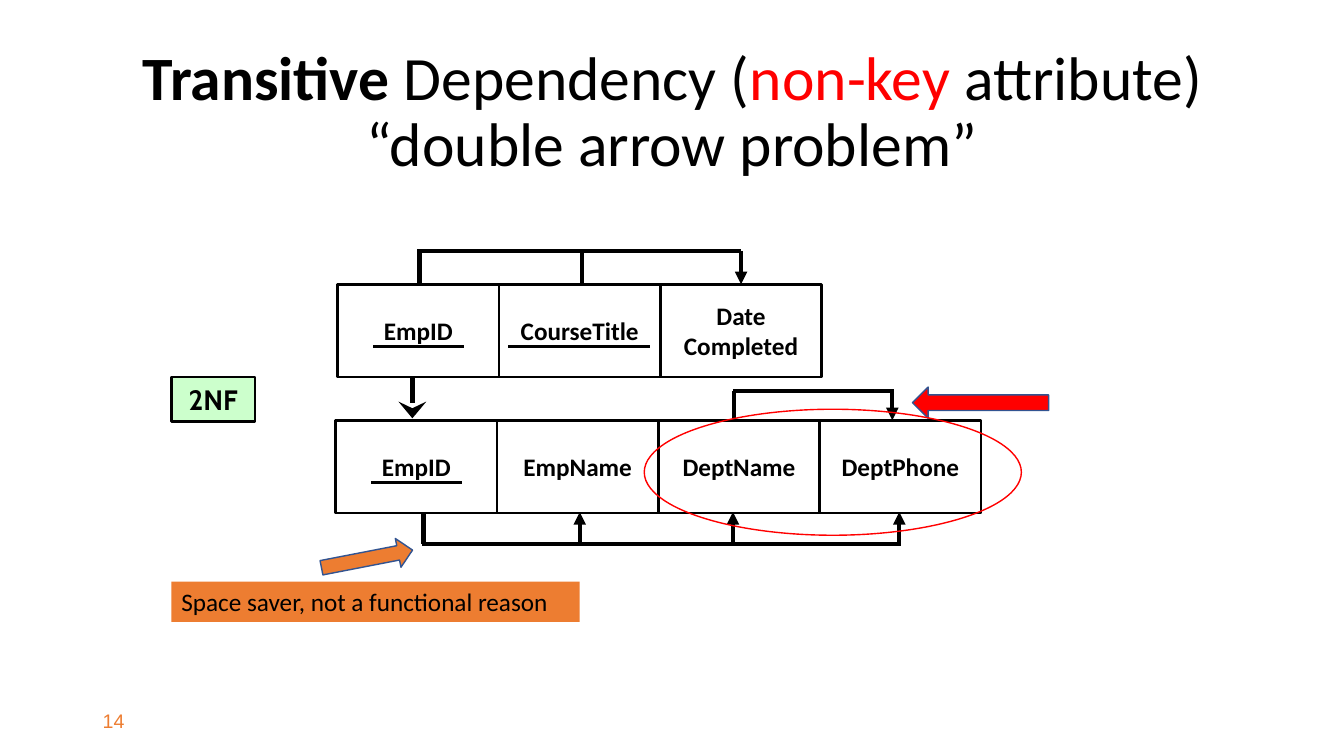
import pptx
import pptx.util
import pptx.dml.color
import pptx.enum.shapes
import pptx.enum.text
import pptx.oxml.ns
import lxml.etree

Inches, Pt = pptx.util.Inches, pptx.util.Pt
SHAPE = pptx.enum.shapes.MSO_SHAPE
CENTER = pptx.enum.text.PP_ALIGN.CENTER
MIDDLE = pptx.enum.text.MSO_ANCHOR.MIDDLE
rgb = pptx.dml.color.RGBColor.from_string
qn = pptx.oxml.ns.qn

presentation = pptx.Presentation()
presentation.slide_width, presentation.slide_height = Inches(13.33), Inches(7.5)
slide = presentation.slides.add_slide(presentation.slide_layouts[6])


def draw_shape(kind, box, fill=None, line=None, weight=1, text="", font="Calibri", size=18, bold=True):
    """Add a preset shape with optional fill, outline and centred text."""
    shape = slide.shapes.add_shape(kind, *map(Inches, box))
    shape.shadow.inherit = False
    if fill:
        shape.fill.solid()
        shape.fill.fore_color.rgb = rgb(fill)
    else:
        shape.fill.background()
    if line:
        shape.line.color.rgb = rgb(line)
        shape.line.width = Pt(weight)
    else:
        shape.line.fill.background()
    if text:
        shape.text_frame.text = text
        shape.text_frame.vertical_anchor = MIDDLE
        for paragraph in shape.text_frame.paragraphs:
            paragraph.alignment = CENTER
            paragraph.font.name, paragraph.font.size = font, Pt(size)
            paragraph.font.bold = bold
            paragraph.font.color.rgb = rgb("000000")
    return shape


def draw_line(x1, y1, x2, y2, weight=3, head=None, head_width="med"):
    """Add a straight black line, with an arrowhead at its end if one is named."""
    line = slide.shapes.add_connector(
        pptx.enum.shapes.MSO_CONNECTOR.STRAIGHT, *map(Inches, (x1, y1, x2, y2)))
    line.line.color.rgb = rgb("000000")
    line.line.width = Pt(weight)
    if head:
        lxml.etree.SubElement(line.line._get_or_add_ln(), qn("a:tailEnd"),
                              type=head, w=head_width, len="med")
    lxml.etree.SubElement(line._element.spPr, qn("a:effectLst"))


# Title and slide number
title = slide.shapes.add_textbox(Inches(0.92), Inches(0.4), Inches(11.5), Inches(1.45)).text_frame
title.word_wrap = True
title.vertical_anchor = MIDDLE
heading = title.paragraphs[0]
heading.alignment, heading.line_spacing = CENTER, 0.9
heading.font.name, heading.font.size = "Calibri", Pt(44)
for words, color, bold in [("Transitive", "000000", True), (" Dependency (", "000000", False),
                           ("non-key", "FF0000", False), (" attribute)", "000000", False),
                           (None, None, None), ("“double arrow problem”", "000000", False)]:
    if words is None:
        heading.add_line_break()
        continue
    run = heading.add_run()
    run.text = words
    run.font.bold = bold
    run.font.color.rgb = rgb(color)

number = slide.shapes.add_textbox(Inches(0.92), Inches(6.95), Inches(3), Inches(0.4)).text_frame
number.vertical_anchor = MIDDLE
number.word_wrap = True
number.text = "14"
number_font = number.paragraphs[0].font
number_font.name, number_font.size = "Arial", Pt(14)
number_font.color.rgb = rgb("ED7D31")

# Relations: a row of attribute cells each
cell_width, cell_height = 1.6, 0.92
relations = [(3.35, 2.82, ["EmpID", "CourseTitle", "Date\nCompleted"]),
             (3.33, 4.17, ["EmpID", "EmpName", "DeptName", "DeptPhone"])]
for left, top, attributes in relations:
    for column, attribute in enumerate(attributes):
        cell = draw_shape(SHAPE.RECTANGLE, (left + column * cell_width, top, cell_width, cell_height),
                          line="000000", weight=2, text=attribute)
        cell.text_frame.word_wrap = False

# Key underlines
for start, end, y in [(3.7, 4.6, 3.44), (5.04, 6.45, 3.44), (3.68, 4.58, 4.79)]:
    draw_line(start, y, end, y, weight=2)

# Dependency brackets: rail, plain stems from determinants, arrows to dependents
brackets = [(2.49, 2.82, 4.14, 7.35, [4.16, 5.77], [7.35]),
            (5.4, 5.08, 4.19, 8.94, [4.2], [5.75, 7.27, 8.92]),
            (3.88, 4.17, 7.27, 8.87, [7.28], [8.85])]
for rail, edge, start, end, determinants, dependents in brackets:
    draw_line(start, rail, end, rail)
    for x in determinants:
        draw_line(x, edge, x, rail)
    for x in dependents:
        draw_line(x, rail, x, edge, head="triangle")
draw_line(4.09, 3.74, 4.09, 4.15, weight=4, head="stealth", head_width="lg")

# Callouts
for box, angle, fill in [((9.05, 3.84, 1.35, 0.31), 180, "FF0000"),
                         ((3.18, 5.4, 0.92, 0.29), 349, "ED7D31")]:
    draw_shape(SHAPE.RIGHT_ARROW, box, fill=fill, line="325491").rotation = angle
draw_shape(SHAPE.OVAL, (6.39, 4.06, 3.74, 1.25), line="FF0000")
draw_shape(SHAPE.RECTANGLE, (1.7, 3.74, 0.83, 0.44), fill="CCFFCC", line="000000", weight=2,
           text="2NF", font="Cabin", size=20)
reason = draw_shape(SHAPE.RECTANGLE, (1.7, 5.77, 4.05, 0.4), fill="ED7D31",
                    text="Space saver, not a functional reason", bold=False)
reason.text_frame.paragraphs[0].alignment = pptx.enum.text.PP_ALIGN.LEFT

presentation.save("out.pptx")
